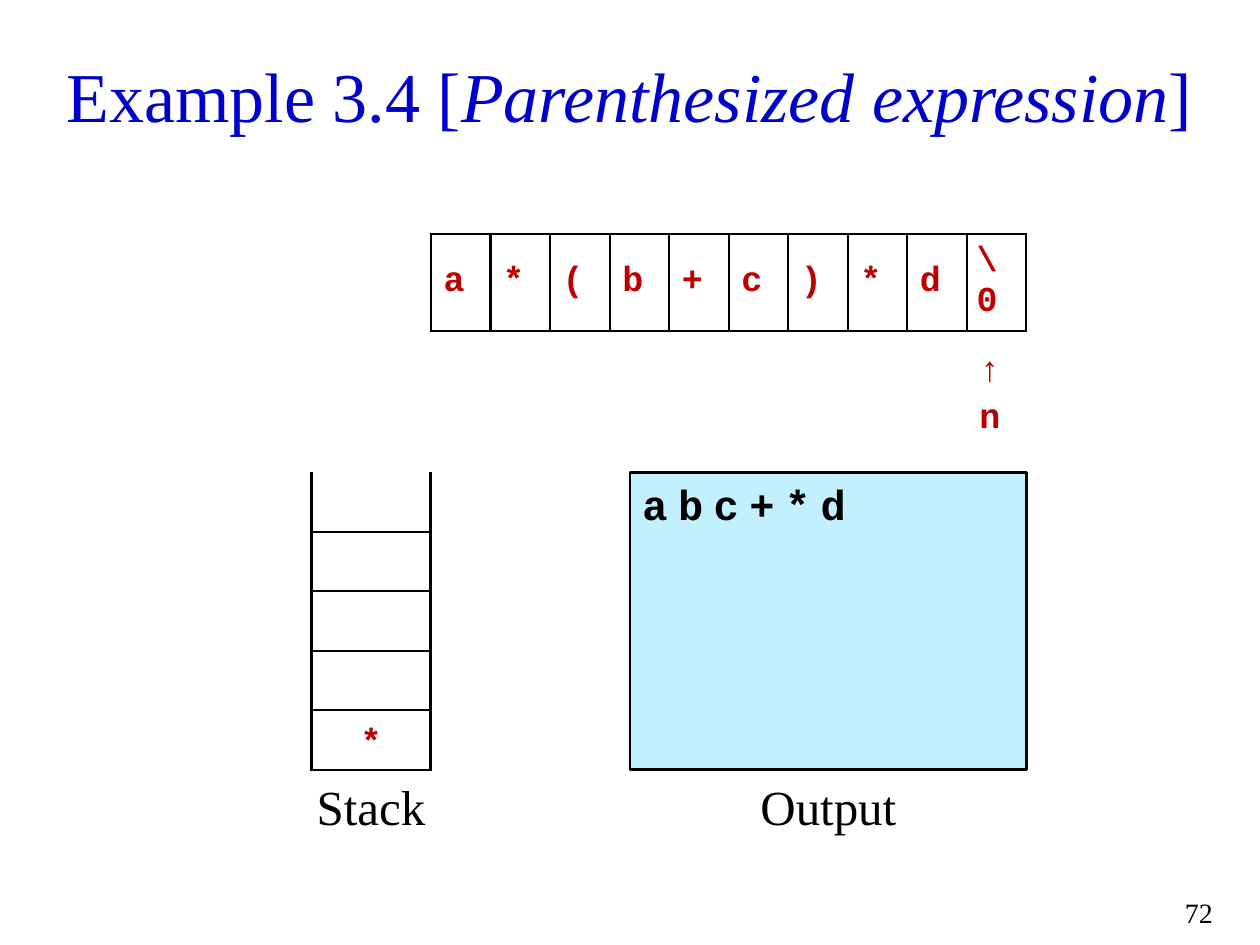
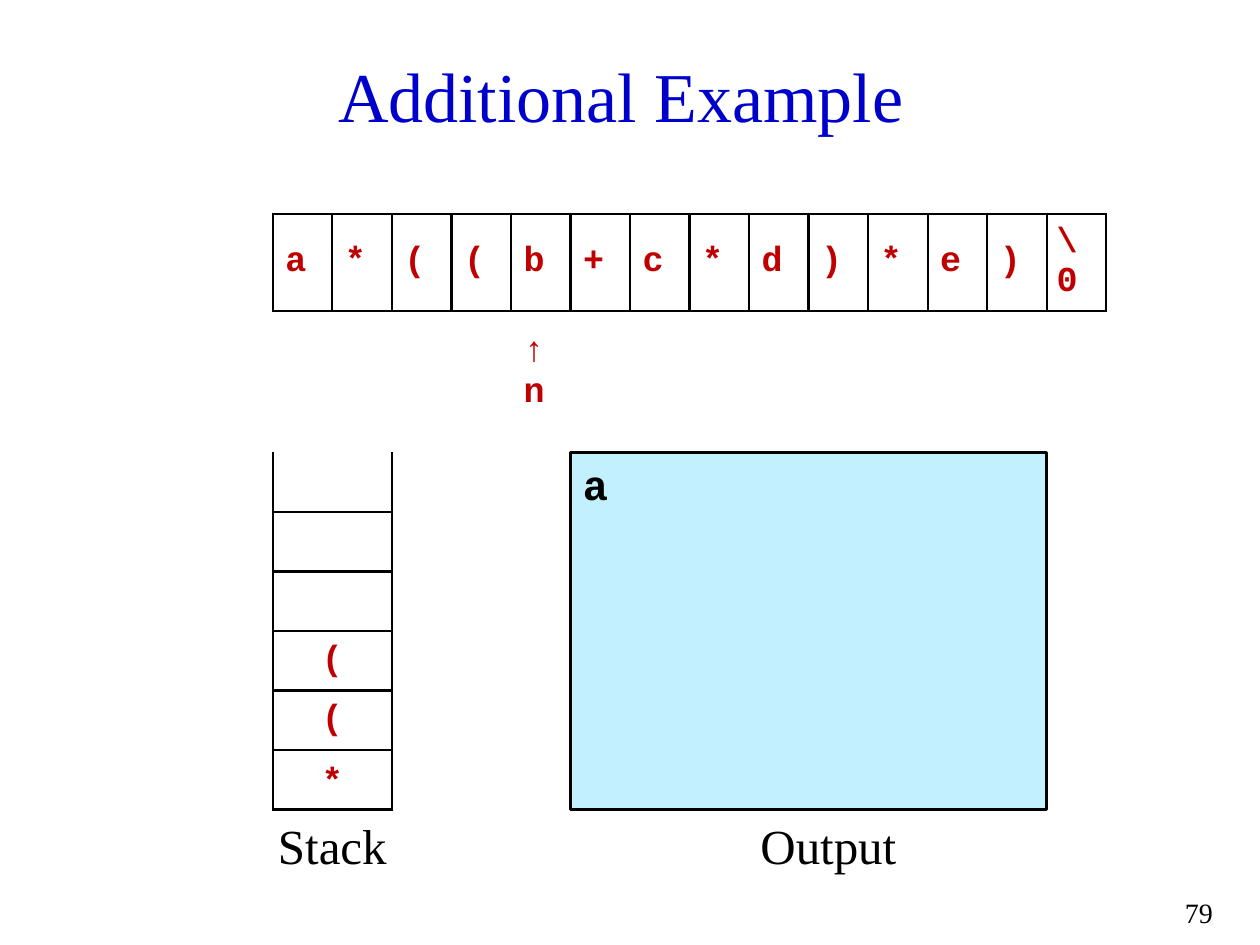
import pptx
import pptx.dml.color
import pptx.enum.text
import pptx.enum.shapes
import pptx.oxml.ns
import pptx.util
from lxml import etree

Cm = pptx.util.Cm
Pt = pptx.util.Pt
RGBColor = pptx.dml.color.RGBColor
ALIGN = pptx.enum.text.PP_ALIGN
ANCHOR = pptx.enum.text.MSO_ANCHOR
qn = pptx.oxml.ns.qn

TITLE_BLUE = RGBColor(0x00, 0x00, 0xCC)
SYMBOL_RED = RGBColor(0xC0, 0x00, 0x00)
OUTPUT_BLUE = RGBColor(0xC2, 0xF0, 0xFF)
BLACK = RGBColor(0x00, 0x00, 0x00)
SERIF = "Times New Roman"
MONO = "Courier New"
CELL = 1.2
LINE = Pt(1.5)
OUTPUT_LABEL_CENTRE = 16.7
TITLE_ONLY = 5


def write(tf, *texts, size=20, font=SERIF, color=BLACK, bold=False,
          align=ALIGN.LEFT, spacing=0):
    """Fill the first paragraph with runs, every second one in italics."""
    p = tf.paragraphs[0]
    p.alignment = align
    for i, text in enumerate(texts):
        r = p.add_run()
        r.text = text
        r.font.name = font
        r.font.size = Pt(size)
        r.font.color.rgb = color
        r.font.bold = bold
        r.font.italic = i % 2 == 1
        if spacing:
            r._r.get_or_add_rPr().set("spc", str(spacing * 100))


def write_symbol(cell, text, anchor=ANCHOR.MIDDLE, align=ALIGN.LEFT):
    """Write one red symbol into a table cell."""
    cell.vertical_anchor = anchor
    write(cell.text_frame, text, font=MONO, color=SYMBOL_RED, bold=True, align=align)


def set_borders(cell, sides):
    """Draw the listed sides (of L, R, T, B) of a cell and hide the others."""
    tcPr = cell._tc.get_or_add_tcPr()
    for side in "LRTB":
        ln = etree.SubElement(tcPr, qn(f"a:ln{side}"), w=str(int(LINE)))
        if side in sides:
            fill = etree.SubElement(ln, qn("a:solidFill"))
            etree.SubElement(fill, qn("a:srgbClr"), val=str(BLACK))
        else:
            etree.SubElement(ln, qn("a:noFill"))
    cell.fill.background()


def add_grid(slide, left, top, rows, cols, col_width):
    """Add a plain table of equal cells."""
    table = slide.shapes.add_table(rows, cols, Cm(left), Cm(top),
                                   Cm(cols * col_width), Cm(rows * CELL)).table
    table.first_row = table.horz_banding = False
    for col in table.columns:
        col.width = Cm(col_width)
    for row in table.rows:
        row.height = Cm(CELL)
    return table


def add_label(slide, text, left, top, width, height, size=28, align=ALIGN.CENTER):
    """Add a black serif text box."""
    tf = slide.shapes.add_textbox(Cm(left), Cm(top), Cm(width), Cm(height)).text_frame
    tf.word_wrap = True
    write(tf, text, size=size, align=align)


def add_tape(slide, left, top, symbols, position, n_inset):
    """Add the input tape with the marker n below one position."""
    table = add_grid(slide, left, top, 3, len(symbols), CELL)
    for col, symbol in enumerate(symbols):
        write_symbol(table.cell(0, col), symbol)
        for row, sides in enumerate(("LRTB", "T", "")):
            set_borders(table.cell(row, col), sides)
    end = table.cell(0, len(symbols) - 1)
    end.margin_left = end.margin_right = Cm(0.2)
    arrow, marker = table.cell(1, position), table.cell(2, position)
    arrow.margin_top, arrow.margin_bottom = Cm(0.4), 0
    write_symbol(arrow, "↑")
    marker.margin_top = Cm(n_inset)
    write_symbol(marker, "n", ANCHOR.TOP)


def add_stack(slide, left, top, levels, items):
    """Add the open-topped stack, its items listed from the bottom up."""
    table = add_grid(slide, left, top, levels, 1, 2 * CELL)
    for row in range(levels):
        set_borders(table.cell(row, 0), "LRTB" if row else "LRB")
    for depth, item in enumerate(items):
        anchor = ANCHOR.MIDDLE if depth else ANCHOR.BOTTOM
        write_symbol(table.cell(levels - 1 - depth, 0), item, anchor, ALIGN.CENTER)
    add_label(slide, "Stack", left + CELL - 1.6, top + levels * CELL, 3.2, 1.6)


def add_output(slide, left, top, width, height, text):
    """Add the output panel and its label."""
    sp = slide.shapes.add_shape(pptx.enum.shapes.MSO_SHAPE.RECTANGLE,
                                Cm(left), Cm(top), Cm(width), Cm(height))
    sp.shadow.inherit = False
    sp.fill.solid()
    sp.fill.fore_color.rgb = OUTPUT_BLUE
    sp.line.color.rgb = BLACK
    sp.line.width = LINE
    sp.text_frame.vertical_anchor = ANCHOR.TOP
    write(sp.text_frame, text, size=24, font=MONO, bold=True, spacing=6)
    add_label(slide, "Output", OUTPUT_LABEL_CENTRE - 2, top + height, 4, 1.6)


def add_step(prs, number, title, tape, position, stack, output, levels,
             tape_left, tape_top, stack_left, output_left, output_width, n_inset):
    """Add one slide showing a step of the conversion to postfix."""
    slide = prs.slides.add_slide(prs.slide_layouts[TITLE_ONLY])
    write(slide.shapes.title.text_frame, *title, size=40, color=TITLE_BLUE,
          align=ALIGN.CENTER)
    add_label(slide, number, 23.1, 17.93, 1.6, 0.8, size=16, align=ALIGN.RIGHT)
    top = tape_top + 4 * CELL
    add_stack(slide, stack_left, top, levels, stack)
    add_output(slide, output_left, top, output_width, levels * CELL, output)
    add_tape(slide, tape_left, tape_top, tape, position, n_inset)


def set_title_style(layout):
    """Place the title on the layout that all slides use."""
    sp = layout.placeholders[0]
    sp.left, sp.top, sp.width, sp.height = Cm(0.69), Cm(0.71), Cm(24), Cm(2.4)
    sp.text_frame.vertical_anchor = ANCHOR.MIDDLE
    sp.text_frame.auto_size = pptx.enum.text.MSO_AUTO_SIZE.NONE


def main():
    """Build and save the presentation."""
    prs = pptx.Presentation()
    prs.slide_width, prs.slide_height = Cm(25.4), Cm(19.05)
    set_title_style(prs.slide_layouts[TITLE_ONLY])
    add_step(prs, "72", ("Example 3.4 [", "Parenthesized expression", "]"),
             [*"a*(b+c)*d", "\\0"], 9, "*", "abc+*d", levels=5,
             tape_left=8.69, tape_top=4.72, stack_left=6.28,
             output_left=12.7, output_width=8, n_inset=0.13)
    add_step(prs, "79", ("Additional Example ",),
             [*"a*((b+c*d)*e)", "\\0"], 4, "*((", "a", levels=6,
             tape_left=5.5, tape_top=4.32, stack_left=5.5,
             output_left=11.5, output_width=9.6, n_inset=0)
    prs.save("out.pptx")


if __name__ == "__main__":
    main()
